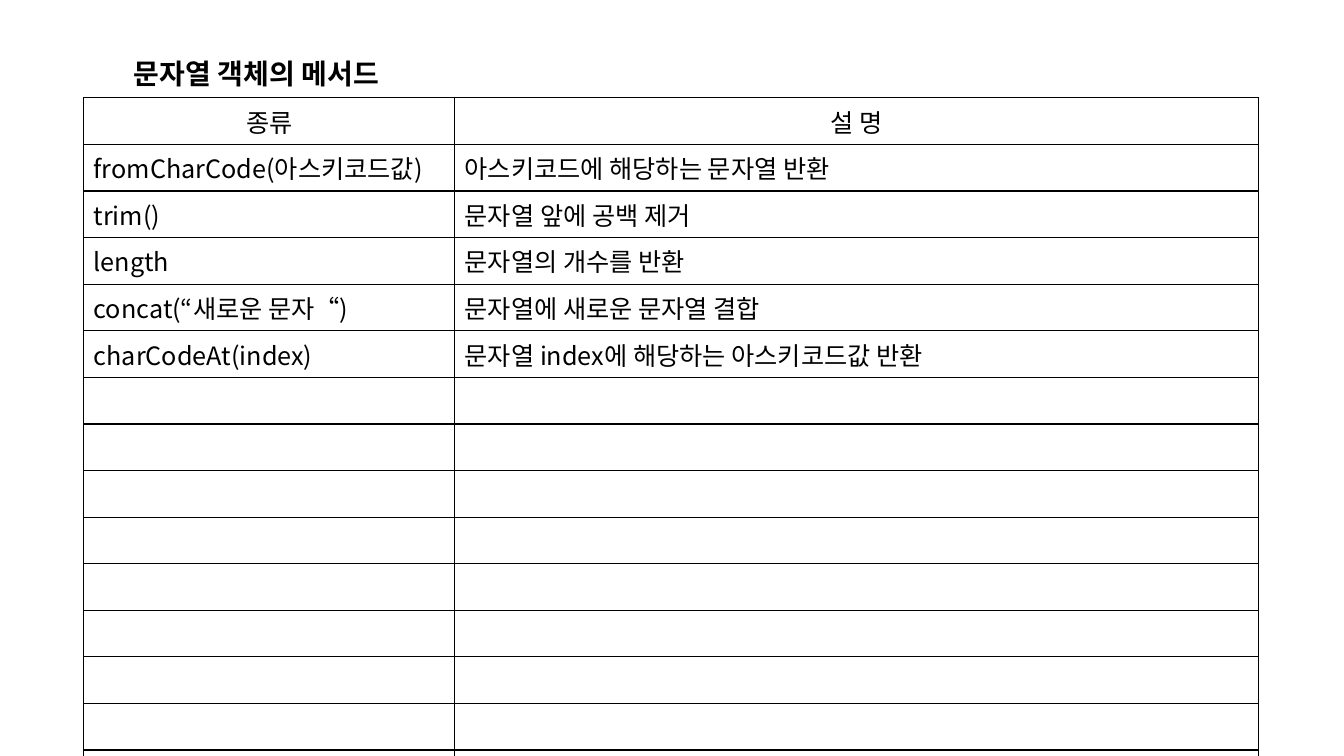
from lxml.etree import SubElement
from pptx import Presentation
from pptx.dml.color import RGBColor
from pptx.enum.text import MSO_AUTO_SIZE, PP_ALIGN
from pptx.oxml.ns import qn
from pptx.util import Inches, Pt

BLACK = RGBColor(0x00, 0x00, 0x00)
FONT = "Noto Sans CJK KR"
HEADING_FORMAT = {"name": FONT, "size": Pt(20), "bold": True}
CELL_FORMAT = {"name": FONT, "size": Pt(18), "bold": False}
BORDER_WIDTH = Pt(1)

COLUMN_WIDTHS = (3.68, 7.97)
ROW_COUNT = 15
HEADING = "문자열 객체의 메서드"
METHODS = [
    ("종류", "설 명"),
    ("fromCharCode(아스키코드값)", "아스키코드에 해당하는 문자열 반환"),
    ("trim()", "문자열 앞에 공백 제거"),
    ("length", "문자열의 개수를 반환"),
    ("concat(“새로운 문자“)", "문자열에 새로운 문자열 결합"),
    ("charCodeAt(index)", "문자열 index에 해당하는 아스키코드값 반환"),
]


def add_east_asian_font(properties):
    SubElement(properties, qn("a:ea"), typeface=FONT)


def write_text(paragraph, wording, text_format):
    run = paragraph.add_run()
    run.text = wording
    for attribute, value in text_format.items():
        setattr(run.font, attribute, value)
    run.font.color.rgb = BLACK
    add_east_asian_font(run.font._element)


def format_empty(paragraph):
    size = str(int(CELL_FORMAT["size"].pt * 100))
    properties = SubElement(paragraph._p, qn("a:endParaRPr"), sz=size)
    SubElement(properties, qn("a:latin"), typeface=FONT)
    add_east_asian_font(properties)


def add_borders(cell):
    properties = cell._tc.get_or_add_tcPr()
    for side in ("lnL", "lnR", "lnT", "lnB"):
        border = SubElement(properties, qn(f"a:{side}"), w=str(BORDER_WIDTH))
        fill = SubElement(border, qn("a:solidFill"))
        SubElement(fill, qn("a:srgbClr"), val=str(BLACK))


def fill_cell(cell, wording, alignment):
    add_borders(cell)
    cell.fill.background()
    paragraph = cell.text_frame.paragraphs[0]
    paragraph.alignment = alignment
    if wording:
        write_text(paragraph, wording, CELL_FORMAT)
    else:
        format_empty(paragraph)


def add_method_table(slide):
    methods = slide.shapes.add_table(
        ROW_COUNT, len(COLUMN_WIDTHS), Inches(0.83), Inches(0.97),
        Inches(sum(COLUMN_WIDTHS)), Inches(6.05)).table
    methods.first_row = False
    methods.horz_banding = False
    for column, width in zip(methods.columns, COLUMN_WIDTHS):
        column.width = Inches(width)
    blank_rows = [("", "")] * (ROW_COUNT - len(METHODS))
    for row, entry in enumerate(METHODS + blank_rows):
        alignment = PP_ALIGN.LEFT if row else PP_ALIGN.CENTER
        for column, wording in enumerate(entry):
            fill_cell(methods.cell(row, column), wording, alignment)


def add_heading(slide):
    heading = slide.shapes.add_textbox(
        Inches(1.23), Inches(0.51), Inches(2.92), Inches(0.44)).text_frame
    heading.word_wrap = False
    heading.auto_size = MSO_AUTO_SIZE.SHAPE_TO_FIT_TEXT
    write_text(heading.paragraphs[0], HEADING, HEADING_FORMAT)


def main():
    presentation = Presentation()
    presentation.slide_width = Inches(13.33)
    presentation.slide_height = Inches(7.5)
    slide = presentation.slides.add_slide(presentation.slide_layouts[6])
    add_method_table(slide)
    add_heading(slide)
    presentation.save("out.pptx")


if __name__ == "__main__":
    main()
